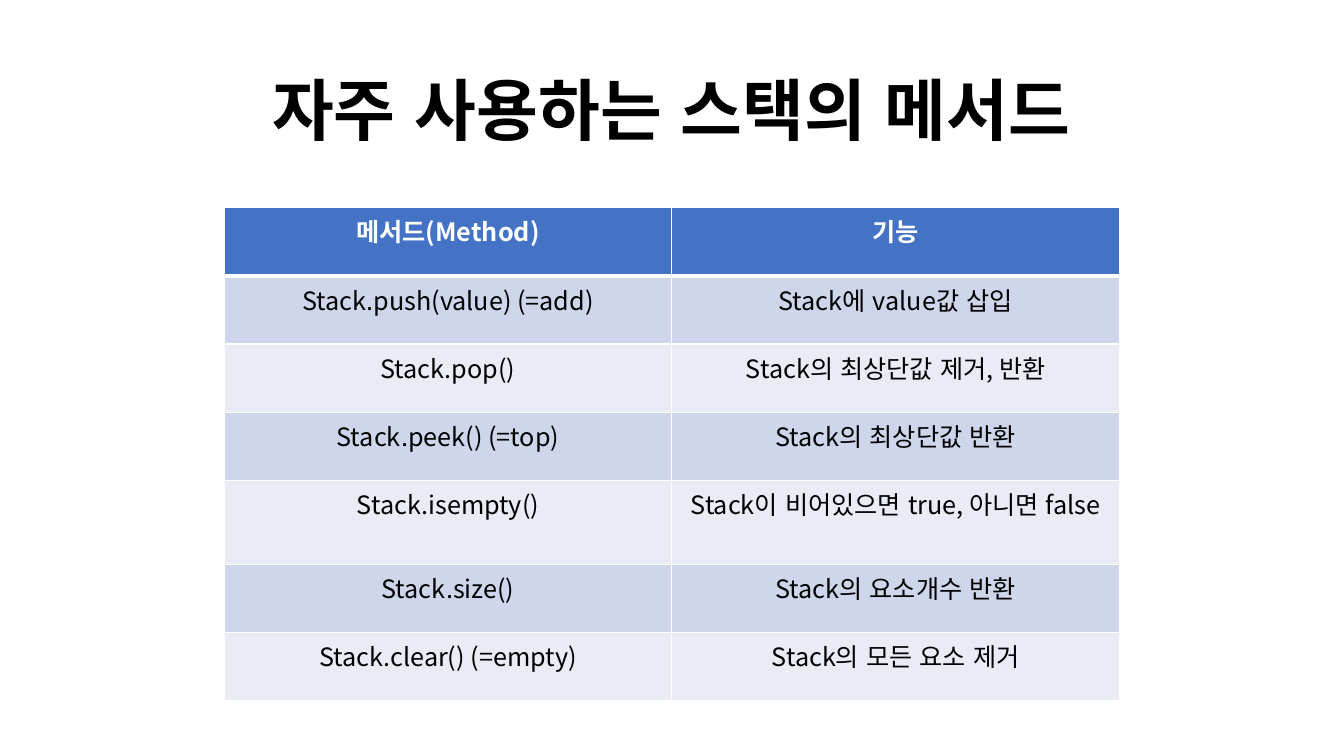
from dataclasses import dataclass

import lxml.etree
import pptx
import pptx.dml.color
import pptx.enum.text
import pptx.oxml.ns
import pptx.util
from pptx.util import Cm

FONT_NAME = "Noto Sans CJK KR"
COLORS = {
    "header": "4472C4",
    "odd_row": "CFD5EA",
    "even_row": "E9EBF5",
    "border": "FFFFFF",
    "header_text": "FFFFFF",
    "text": "000000",
}
ROW_HEIGHT = Cm(1.72)
TWO_LINE_ROW_HEIGHT = Cm(2.11)
COLUMN_WIDTH = Cm(11.28)


@dataclass(frozen=True)
class StackMethod:
    name: str
    purpose: str
    row_height: int = ROW_HEIGHT


HEADER = StackMethod("메서드(Method)", "기능")
METHODS = [
    StackMethod("Stack.push(value) (=add)", "Stack에 value값 삽입"),
    StackMethod("Stack.pop()", "Stack의 최상단값 제거, 반환"),
    StackMethod("Stack.peek() (=top)", "Stack의 최상단값 반환"),
    StackMethod(
        "Stack.isempty()", "Stack이 비어있으면 true, 아니면 false", TWO_LINE_ROW_HEIGHT
    ),
    StackMethod("Stack.size()", "Stack의 요소개수 반환"),
    StackMethod("Stack.clear() (=empty)", "Stack의 모든 요소 제거"),
]


def rgb(color: str) -> pptx.dml.color.RGBColor:
    return pptx.dml.color.RGBColor.from_string(COLORS[color])


def write_text(text_frame, text: str, size: int, color: str, bold: bool) -> None:
    text_frame.text = text
    paragraph = text_frame.paragraphs[0]
    paragraph.alignment = pptx.enum.text.PP_ALIGN.CENTER
    font = paragraph.font
    font.name = FONT_NAME
    font.size = pptx.util.Pt(size)
    font.bold = bold
    font.color.rgb = rgb(color)
    font.language_id = pptx.enum.lang.MSO_LANGUAGE_ID.KOREAN
    properties = paragraph._p.pPr.find(pptx.oxml.ns.qn("a:defRPr"))
    east_asian = lxml.etree.SubElement(properties, pptx.oxml.ns.qn("a:ea"))
    east_asian.set("typeface", FONT_NAME)


def set_borders(cell, top: int, bottom: int) -> None:
    properties = cell._tc.get_or_add_tcPr()
    widths = {"a:lnL": 1, "a:lnR": 1, "a:lnT": top, "a:lnB": bottom}
    for position, (tag, width) in enumerate(widths.items()):
        line = lxml.etree.Element(pptx.oxml.ns.qn(tag), w=str(pptx.util.Pt(width)))
        fill = lxml.etree.SubElement(line, pptx.oxml.ns.qn("a:solidFill"))
        lxml.etree.SubElement(
            fill, pptx.oxml.ns.qn("a:srgbClr"), val=COLORS["border"]
        )
        properties.insert(position, line)


def add_title(slide) -> None:
    title = slide.shapes.title
    title.left, title.top = Cm(4.98), Cm(1.6)
    title.width, title.height = Cm(23.88), Cm(2.31)
    text_frame = title.text_frame
    text_frame.word_wrap = True
    text_frame.auto_size = pptx.enum.text.MSO_AUTO_SIZE.SHAPE_TO_FIT_TEXT
    text_frame.vertical_anchor = pptx.enum.text.MSO_ANCHOR.TOP
    write_text(text_frame, "자주 사용하는 스택의 메서드", 48, "text", True)


def add_method_table(slide) -> None:
    rows = [HEADER, *METHODS]
    table_height = sum(method.row_height for method in rows)
    table = slide.shapes.add_table(
        len(rows), 2, Cm(5.65), Cm(5.23), COLUMN_WIDTH * 2, table_height
    ).table
    for row_index, method in enumerate(rows):
        table.rows[row_index].height = method.row_height
        is_header = row_index == 0
        fill_color = "odd_row" if row_index % 2 else "even_row"
        for column_index, text in enumerate((method.name, method.purpose)):
            cell = table.cell(row_index, column_index)
            cell.fill.solid()
            cell.fill.fore_color.rgb = rgb("header" if is_header else fill_color)
            text_color = "header_text" if is_header else "text"
            write_text(cell.text_frame, text, 18, text_color, is_header)
            set_borders(cell, 3 if row_index == 1 else 1, 3 if is_header else 1)


def main() -> None:
    presentation = pptx.Presentation()
    presentation.slide_width = Cm(33.87)
    presentation.slide_height = Cm(19.05)
    slide = presentation.slides.add_slide(presentation.slide_layouts[5])
    add_method_table(slide)
    add_title(slide)
    presentation.save("out.pptx")


if __name__ == "__main__":
    import pptx.enum.lang

    main()
